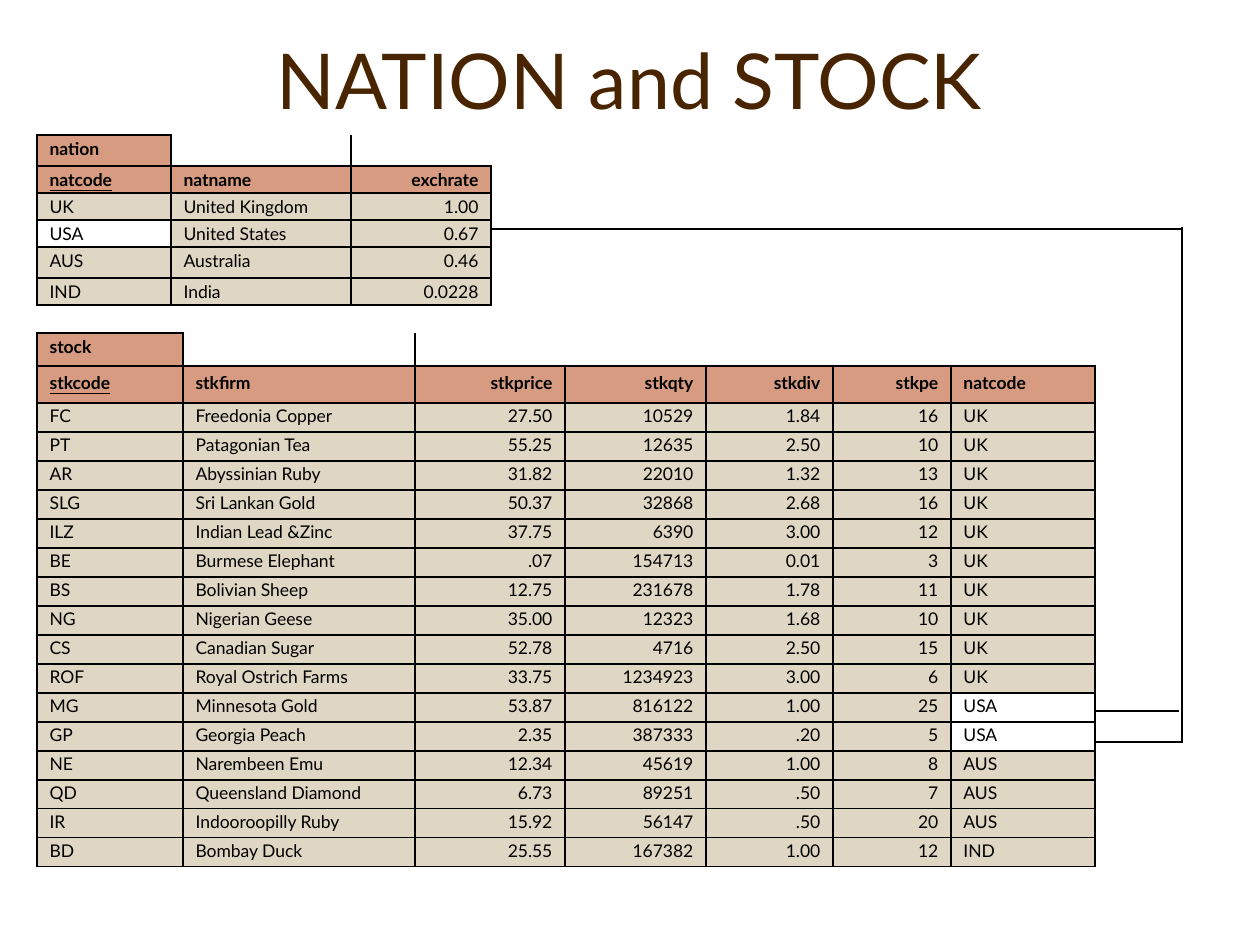
from dataclasses import dataclass
from lxml.etree import SubElement
from pptx import Presentation
from pptx.dml.color import RGBColor as Rgb
from pptx.enum.shapes import MSO_CONNECTOR as Link
from pptx.enum.text import MSO_ANCHOR as Anchor, PP_ALIGN as Align
from pptx.oxml.ns import qn
from pptx.util import Emu, Pt

PX = 914400 // 126
FONT = "Lato"
PLAIN = "{2D5ABB26-0587-4C30-8999-92F81FD0307C}"
HUES = {"title": "482400", "ink": "000000", "head": "D69B80",
        "body": "DFD6C3", "mark": "FFFFFF"}


@dataclass
class Grid:
    """A database table: name, place, sizes in pixels, and rows of text."""
    name: str
    top: int
    cols: list[int]
    highs: list[int]
    nums: range
    key: int
    pad: int
    tight: tuple[float, float]
    rows: list[str]


@dataclass
class Wire:
    """A straight line between two points in pixels."""
    x1: int
    y1: int
    x2: int
    y2: int


LEFT = 37
NATION = Grid("nation", 135, [134, 180, 140], [31, 26, 26, 26, 31, 26],
              range(2, 3), 0, 3, (1.0, 1.0), [
    "natcode|natname|exchrate",
    "UK|United Kingdom|1.00",
    "USA|United States|0.67",
    "AUS|Australia|0.46",
    "IND|India|0.0228",
])
STOCK = Grid("stock", 333, [146, 232, 150, 141, 127, 118, 144],
             [33, 37] + [29] * 16, range(2, 6), 6, 6, (0.88, 0.8), [
    "stkcode|stkfirm|stkprice|stkqty|stkdiv|stkpe|natcode",
    "FC|Freedonia Copper|27.50|10529|1.84|16|UK",
    "PT|Patagonian Tea|55.25|12635|2.50|10|UK",
    "AR|Abyssinian Ruby|31.82|22010|1.32|13|UK",
    "SLG|Sri Lankan Gold|50.37|32868|2.68|16|UK",
    "ILZ|Indian Lead &Zinc|37.75|6390|3.00|12|UK",
    "BE|Burmese Elephant|.07|154713|0.01|3|UK",
    "BS|Bolivian Sheep|12.75|231678|1.78|11|UK",
    "NG|Nigerian Geese|35.00|12323|1.68|10|UK",
    "CS|Canadian Sugar|52.78|4716|2.50|15|UK",
    "ROF|Royal Ostrich Farms|33.75|1234923|3.00|6|UK",
    "MG|Minnesota Gold|53.87|816122|1.00|25|USA",
    "GP|Georgia Peach|2.35|387333|.20|5|USA",
    "NE|Narembeen Emu|12.34|45619|1.00|8|AUS",
    "QD|Queensland Diamond|6.73|89251|.50|7|AUS",
    "IR|Indooroopilly Ruby|15.92|56147|.50|20|AUS",
    "BD|Bombay Duck|25.55|167382|1.00|12|IND",
])
WIRES = [Wire(1182, 229, 491, 229), Wire(1095, 711, 1179, 711),
         Wire(1095, 742, 1182, 742), Wire(1182, 227, 1182, 743)]


def px(num: int) -> Emu:
    """Turn pixels into EMU."""
    return Emu(num * PX)


def add_run(para, text: str, size: int, hue: str):
    """Add one run of text and return its font."""
    run = para.add_run()
    run.text = text
    font = run.font
    font.name, font.size = FONT, Pt(size)
    font.color.rgb = Rgb.from_string(HUES[hue])
    return font


def edge(cell, sides: str) -> None:
    """Rule the given sides of a cell in black."""
    props = cell._tc.get_or_add_tcPr()
    for side in sides:
        line = SubElement(props, qn(f"a:ln{side}"), w=str(Pt(1)))
        fill = SubElement(line, qn("a:solidFill"))
        SubElement(fill, qn("a:srgbClr"), val=HUES["ink"])


def fill_cell(cell, grid: Grid, row: int, col: int, text: str) -> None:
    """Write and colour one cell; a cell with no text stays clear."""
    cell.margin_top = cell.margin_bottom = px(grid.pad)
    para = cell.text_frame.paragraphs[0]
    if not text:
        edge(cell, "LB" if col == 1 else "B")
        cell.fill.background()
        SubElement(para._p, qn("a:endParaRPr"), sz="1000")
        return
    edge(cell, "LRTB")
    hue = "head" if row < 2 else "body"
    if col == grid.key and text == "USA":
        hue = "mark"
    cell.fill.solid()
    cell.fill.fore_color.rgb = Rgb.from_string(HUES[hue])
    para.space_before = Pt(5)
    if row != 1:
        para.line_spacing = grid.tight[min(row, 1)]
    if col in grid.nums:
        para.alignment = Align.RIGHT
    font = add_run(para, text, 10, "ink")
    font.bold = row < 2
    font.underline = row == 1 and col == 0


def add_grid(slide, grid: Grid) -> None:
    """Draw a table with its name above the first column."""
    rows = [[grid.name] + [""] * (len(grid.cols) - 1)]
    rows += [line.split("|") for line in grid.rows]
    table = slide.shapes.add_table(
        len(rows), len(grid.cols), px(LEFT), px(grid.top),
        px(sum(grid.cols)), px(sum(grid.highs))).table
    table.first_row = table.horz_banding = False
    table._tbl.tblPr.find(qn("a:tableStyleId")).text = PLAIN
    for col, wide in zip(table.columns, grid.cols):
        col.width = px(wide)
    for row, high in zip(table.rows, grid.highs):
        row.height = px(high)
    for r, texts in enumerate(rows):
        for c, text in enumerate(texts):
            fill_cell(table.cell(r, c), grid, r, c, text)


def add_wire(slide, wire: Wire) -> None:
    """Draw one black line."""
    line = slide.shapes.add_connector(
        Link.STRAIGHT, px(wire.x1), px(wire.y1), px(wire.x2), px(wire.y2))
    line.line.color.rgb = Rgb.from_string(HUES["ink"])
    line.line.width = Pt(1)
    SubElement(line._element.spPr, qn("a:effectLst"))


def add_title(slide, text: str) -> None:
    """Place and format the title."""
    title = slide.shapes.title
    title.left, title.top = px(247), px(0)
    title.width, title.height = px(765), px(158)
    frame = title.text_frame
    frame.word_wrap = True
    frame.vertical_anchor = Anchor.MIDDLE
    para = frame.paragraphs[0]
    para.alignment = Align.CENTER
    add_run(para, text, 44, "title")


def main() -> None:
    """Build and save the slide."""
    deck = Presentation()
    deck.slide_width, deck.slide_height = px(1260), px(945)
    slide = deck.slides.add_slide(deck.slide_layouts[5])
    add_title(slide, "NATION and STOCK")
    for grid in (NATION, STOCK):
        add_grid(slide, grid)
    for wire in WIRES:
        add_wire(slide, wire)
    deck.save("out.pptx")


main()
